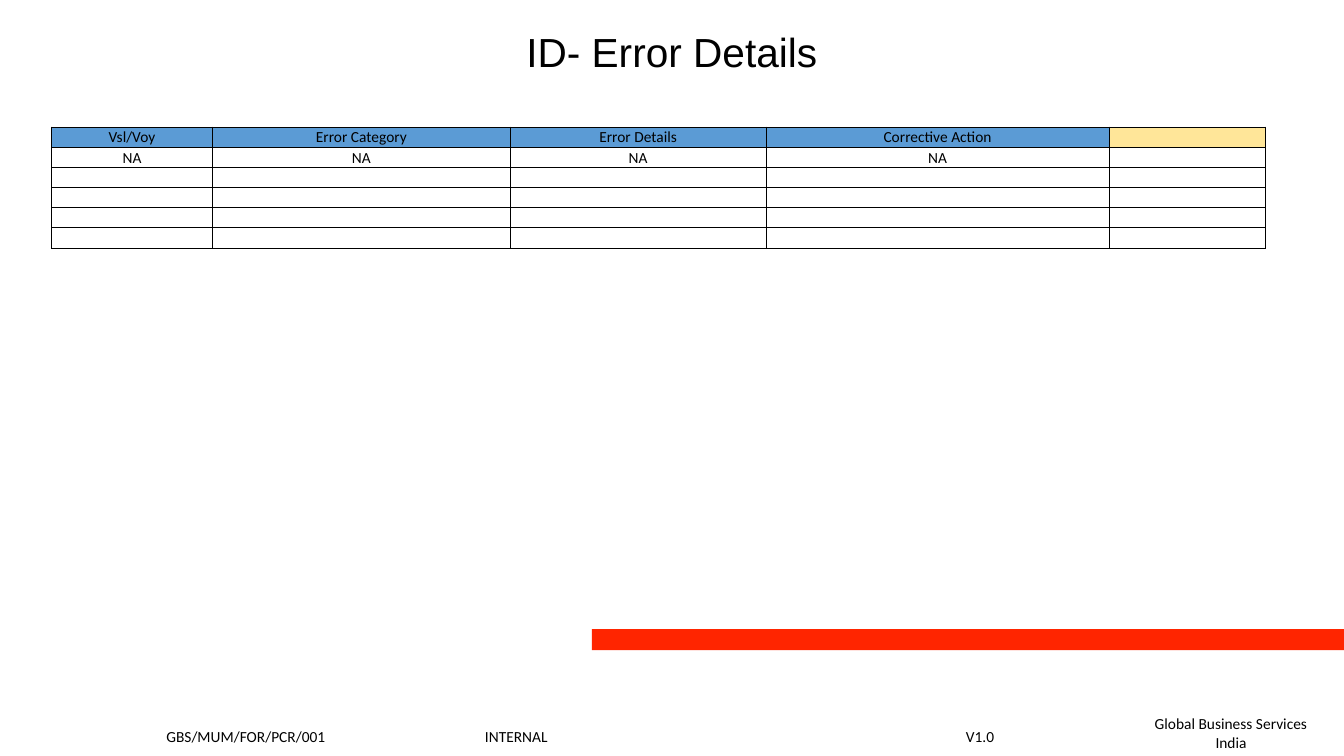
from lxml import etree
from pptx import Presentation
from pptx.dml.color import RGBColor
from pptx.enum import shapes, text
from pptx.oxml import ns
from pptx.util import Inches, Pt

# Content
TITLE = "ID- Error Details"
HEADERS = ["Vsl/Voy", "Error Category", "Error Details", "Corrective Action", ""]
HEADER_FILLS = ["5B9BD5"] * 4 + ["FFE699"]
ROWS = [HEADERS, ["NA"] * 4 + [""]] + [[""] * 5] * 4
COLUMN_WIDTHS = [1.6, 2.95, 2.54, 3.4, 1.55]
ROW_HEIGHT = 0.2
FOOTER = ["GBS/MUM/FOR/PCR/001", "INTERNAL", "V1.0"]
FOOTER_TABS = [3.16, 7.93]
DEPARTMENT = ["Global Business Services", "India"]
BLACK = "000000"


def color(value):
    return RGBColor.from_string(value)


def place(shape, left, top, width, height):
    shape.left, shape.top = Inches(left), Inches(top)
    shape.width, shape.height = Inches(width), Inches(height)


def style(para, size=11, font="Calibri", align=text.PP_ALIGN.CENTER):
    para.alignment = align
    para.font.size = Pt(size)
    para.font.name = font
    para.font.color.rgb = color(BLACK)


def add_borders(cell):
    properties = cell._tc.get_or_add_tcPr()
    for side in ("lnL", "lnR", "lnT", "lnB"):
        line = etree.SubElement(properties, ns.qn("a:" + side), w=str(Pt(0.5)))
        fill = etree.SubElement(line, ns.qn("a:solidFill"))
        etree.SubElement(fill, ns.qn("a:srgbClr"), val=BLACK)


def add_text(page, lines, left, top, width, height):
    box = page.shapes.add_textbox(*map(Inches, (left, top, width, height)))
    frame = box.text_frame
    frame.word_wrap = True
    frame.text = "\n".join(lines)
    return frame


def add_footer(page):
    bar = page.shapes.add_shape(shapes.MSO_SHAPE.RECTANGLE, *map(Inches, (5.87, 6.24, 7.46, 0.21)))
    bar.shadow.inherit = False
    bar.fill.solid()
    bar.fill.fore_color.rgb = color("FF2500")
    bar.line.fill.background()

    for para in add_text(page, DEPARTMENT, 11.21, 7.04, 2, 0.47).paragraphs:
        style(para)

    # Document code, classification and version stand on tab stops
    frame = add_text(page, ["\t".join(FOOTER)], 1.42, 7.16, 8.95, 0.23)
    frame.margin_left = Inches(0.23)
    para = frame.paragraphs[0]
    tabs = etree.SubElement(para._p.get_or_add_pPr(), ns.qn("a:tabLst"))
    for stop in FOOTER_TABS:
        etree.SubElement(tabs, ns.qn("a:tab"), pos=str(Inches(stop)), algn="l")
    style(para, align=text.PP_ALIGN.LEFT)


def add_title(page):
    title = page.shapes.title
    place(title, 0.92, 0.26, 11.49, 0.5)
    title.fill.solid()
    title.fill.fore_color.rgb = color("FFFFFF")
    frame = title.text_frame
    frame.text = TITLE
    frame.vertical_anchor = text.MSO_ANCHOR.MIDDLE
    style(frame.paragraphs[0], 29, "Arial")


def add_error_table(page):
    frame = page.shapes.add_table(
        len(ROWS), len(HEADERS), Inches(0.51), Inches(1.26),
        Inches(sum(COLUMN_WIDTHS)), Inches(ROW_HEIGHT * len(ROWS)))
    table = frame.table
    table.first_row = table.horz_banding = False
    for column, width in zip(table.columns, COLUMN_WIDTHS):
        column.width = Inches(width)
    for r, values in enumerate(ROWS):
        table.rows[r].height = Inches(ROW_HEIGHT)
        for c, value in enumerate(values):
            cell = table.cell(r, c)
            cell.vertical_anchor = text.MSO_ANCHOR.MIDDLE
            cell.margin_left = cell.margin_right = cell.margin_top = Inches(0.01)
            cell.margin_bottom = 0
            add_borders(cell)
            if r == 0:
                cell.fill.solid()
                cell.fill.fore_color.rgb = color(HEADER_FILLS[c])
            else:
                cell.fill.background()
            para = cell.text_frame.paragraphs[0]
            if value:
                para.text = value
            style(para)
            if not value:  # keeps empty rows as low as filled ones
                etree.SubElement(para._p, ns.qn("a:endParaRPr"), sz="1100")


def main():
    deck = Presentation()
    deck.slide_width, deck.slide_height = Inches(13.33), Inches(7.5)
    page = deck.slides.add_slide(deck.slide_layouts.get_by_name("Title Only"))
    add_footer(page)
    add_title(page)
    add_error_table(page)
    deck.save("out.pptx")


if __name__ == "__main__":
    main()
